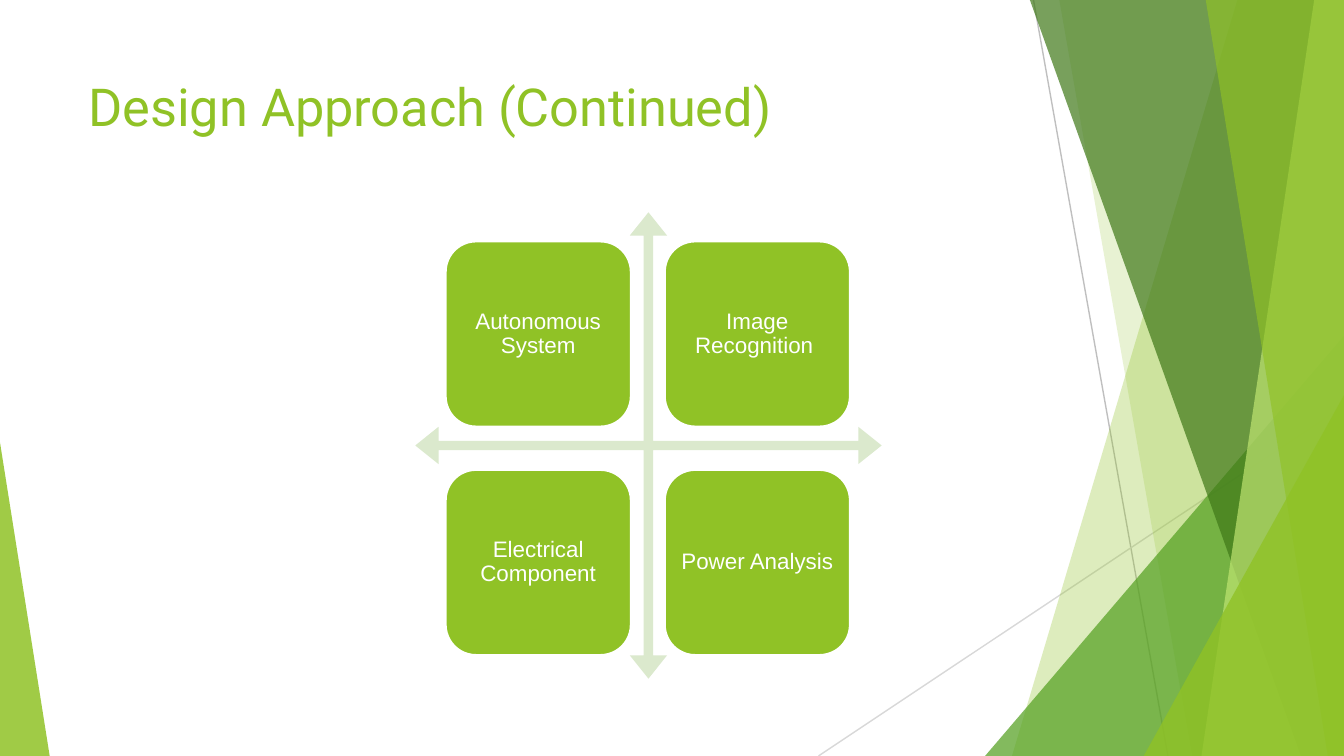
from pptx import Presentation
from pptx.dml.color import RGBColor
from pptx.enum.shapes import MSO_CONNECTOR, MSO_SHAPE
from pptx.enum.text import MSO_ANCHOR, PP_ALIGN
from pptx.oxml.ns import qn
from pptx.util import Inches, Pt
from lxml import etree

LIME = RGBColor(0x90, 0xC2, 0x26)
GREEN = RGBColor(0x54, 0xA0, 0x21)
DARK_GREEN = RGBColor(0x3F, 0x78, 0x18)
PALE_LIME = RGBColor(0xBF, 0xE4, 0x71)
PALE_GREEN = RGBColor(0xDB, 0xE9, 0xCD)
GRAY = RGBColor(0xBF, 0xBF, 0xBF)
LIGHT_GRAY = RGBColor(0xD8, 0xD8, 0xD8)
WHITE = RGBColor(0xFF, 0xFF, 0xFF)

WIDTH = 10
HEIGHT = WIDTH * 9 / 16


def paint(shape, color, opacity=100):
    """Fill a shape with no outline or shadow; opacity is in percent."""
    shape.shadow.inherit = False
    shape.line.fill.background()
    shape.fill.solid()
    shape.fill.fore_color.rgb = color
    if opacity < 100:
        color_element = shape._element.spPr.find(qn("a:solidFill"))[0]
        etree.SubElement(color_element, qn("a:alpha"), val=str(opacity * 1000))


presentation = Presentation()
presentation.slide_width = Inches(WIDTH)
presentation.slide_height = Inches(HEIGHT)
slide = presentation.slides.add_slide(presentation.slide_layouts[6])
shapes = slide.shapes

# Thin background lines
for x1, y1, x2, y2, color in [
    (7.69, 0, 8.69, HEIGHT, GRAY),
    (WIDTH, 3.02, 6.09, HEIGHT, LIGHT_GRAY),
]:
    line = shapes.add_connector(
        MSO_CONNECTOR.STRAIGHT, Inches(x1), Inches(y1), Inches(x2), Inches(y2))
    line.line.color.rgb = color
    line.line.width = Pt(0.75)
    etree.SubElement(line._element.spPr, qn("a:effectLst"))

# Bands run from a top x to a bottom x and reach the right edge;
# corner triangles have a left, top, width and apex position.
for kind, geometry, color, opacity in [
    ("band", (9.21, 7.53), LIME, 30),
    ("band", (7.88, 8.87), LIME, 20),
    ("triangle", (7.33, 2.5, 2.67, 1), GREEN, 72),
    ("band", (7.66, 9.68), DARK_GREEN, 70),
    ("band", (9.78, 8.94), PALE_LIME, 70),
    ("band", (8.97, 9.88), LIME, 65),
    ("triangle", (8.51, 2.94, 1.49, 1), LIME, 80),
    ("triangle", (0, 3.29, 0.37, 0), LIME, 85),
]:
    if kind == "band":
        top_x, bottom_x = geometry
        builder = shapes.build_freeform(Inches(top_x), Inches(-0.01))
        builder.add_line_segments([
            (Inches(WIDTH), Inches(-0.01)),
            (Inches(WIDTH), Inches(HEIGHT)),
            (Inches(bottom_x), Inches(HEIGHT)),
        ])
        facet = builder.convert_to_shape()
    else:
        left, top, width, apex = geometry
        facet = shapes.add_shape(
            MSO_SHAPE.ISOSCELES_TRIANGLE,
            Inches(left), Inches(top), Inches(width), Inches(HEIGHT - top))
        facet.adjustments[0] = apex
    paint(facet, color, opacity)

# Title
title = shapes.add_textbox(Inches(0.56), Inches(0.5), Inches(7.05), Inches(1.08))
title.text_frame.word_wrap = True
paragraph = title.text_frame.paragraphs[0]
paragraph.text = "Design Approach (Continued)"
paragraph.font.name = "Roboto"
paragraph.font.size = Pt(28)
paragraph.font.color.rgb = LIME

# Two by two grid of topics
topics = ["Autonomous System", "Image Recognition ", "Electrical Component", "Power Analysis"]
for index, topic in enumerate(topics):
    row, column = divmod(index, 2)
    card = shapes.add_shape(
        MSO_SHAPE.ROUNDED_RECTANGLE,
        Inches(3.31 + 1.63 * column), Inches(1.79 + 1.7 * row),
        Inches(1.39), Inches(1.39))
    paint(card, LIME)
    card.line.color.rgb = WHITE
    card.line.width = Pt(2)
    frame = card.text_frame
    frame.word_wrap = True
    frame.vertical_anchor = MSO_ANCHOR.MIDDLE
    frame.margin_left = frame.margin_right = Inches(0.04)
    frame.margin_top = frame.margin_bottom = Inches(0.05)
    paragraph = frame.paragraphs[0]
    paragraph.text = topic
    paragraph.alignment = PP_ALIGN.CENTER
    paragraph.line_spacing = 0.9
    paragraph.font.name = "Arial"
    paragraph.font.size = Pt(12)
    paragraph.font.color.rgb = WHITE

# Crossed arrows between the topics
axes = shapes.add_shape(
    MSO_SHAPE.QUAD_ARROW, Inches(3.09), Inches(1.58), Inches(3.47), Inches(3.47))
for index, value in enumerate([0.02, 0.04, 0.05]):
    axes.adjustments[index] = value
paint(axes, PALE_GREEN)

presentation.save("out.pptx")
